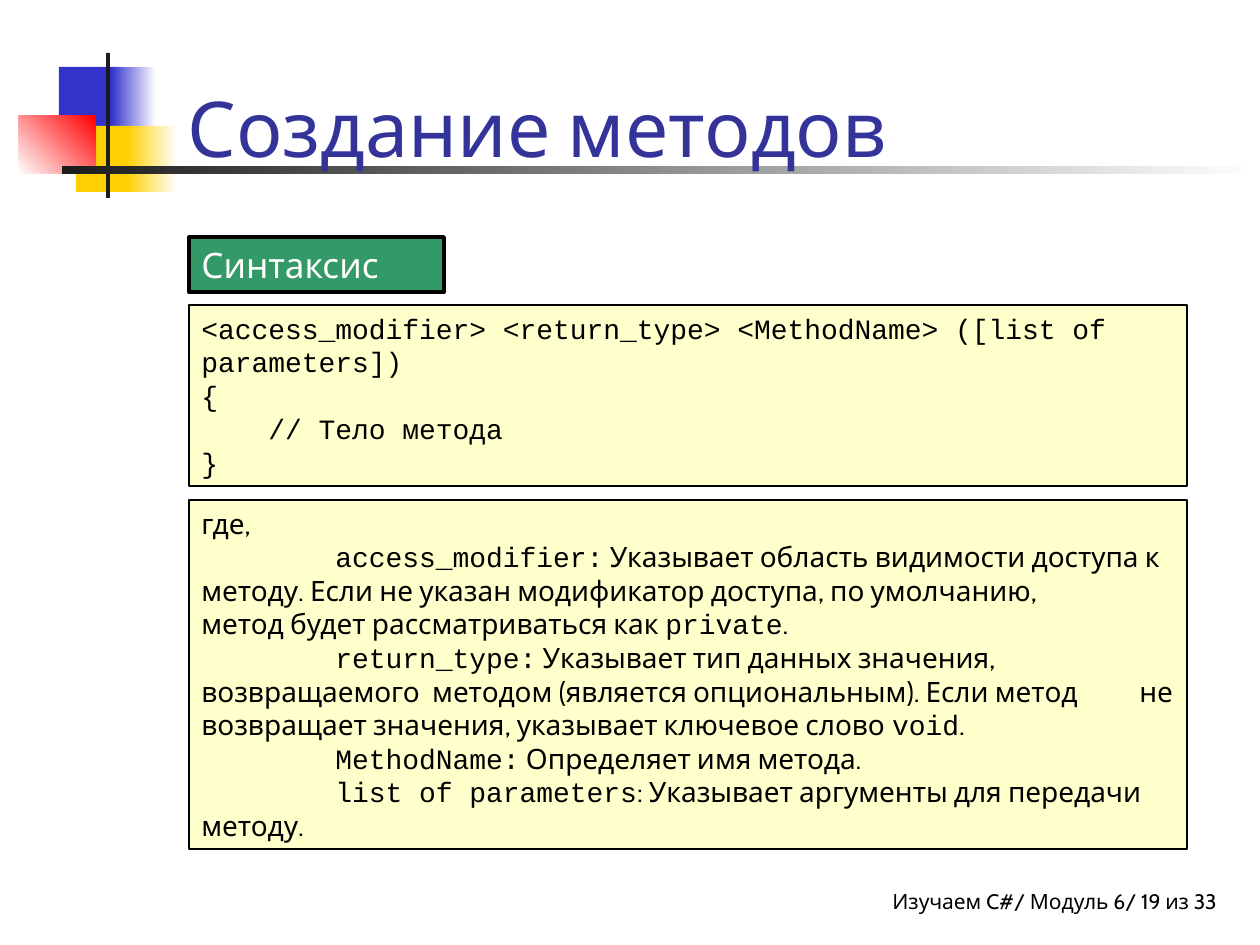
from dataclasses import dataclass

from lxml.etree import SubElement
from pptx import Presentation
from pptx.dml.color import RGBColor
from pptx.enum.shapes import MSO_SHAPE
from pptx.enum.text import MSO_ANCHOR, PP_ALIGN
from pptx.oxml.ns import qn
from pptx.util import Emu, Pt

EMU_PER_PX = 914400 / 126


def px(n):
    return Emu(round(n * EMU_PER_PX))


@dataclass(frozen=True)
class Theme:
    body: str = "Cabin"
    code: str = "Courier New"
    title_size: int = 44
    label_size: int = 20
    text_size: int = 16
    footer_size: int = 12
    title: str = "333399"
    black: str = "000000"
    white: str = "FFFFFF"
    panel: str = "FFFFCC"
    label: str = "339966"
    blue: str = "3333CC"
    yellow: str = "FFCF01"
    red: str = "FF0000"
    dark: str = "1C1C1C"


class SlideBuilder:
    def __init__(self, slide, theme):
        self.s = slide
        self.theme = theme

    def rect(self, box, fill, fade_to=None, angle=0, line=None):
        """Rectangle with a solid fill, or a gradient from fill to fade_to."""
        sp = self.s.shapes.add_shape(MSO_SHAPE.RECTANGLE, *map(px, box))
        sp.shadow.inherit = False
        if fade_to:
            sp.fill.gradient()
            sp.fill.gradient_angle = angle
            for stop, color in zip(sp.fill.gradient_stops, (fill, fade_to)):
                stop.color.rgb = RGBColor.from_string(color)
        else:
            sp.fill.solid()
            sp.fill.fore_color.rgb = RGBColor.from_string(fill)
        if line:
            sp.line.color.rgb = RGBColor.from_string(self.theme.black)
            sp.line.width = Pt(line)
        else:
            sp.line.fill.background()
        return sp

    def add_text(self, tf, paragraphs, size, color, align=PP_ALIGN.LEFT, tab_step=0):
        """Fill a frame with paragraphs, each a list of (text, font) runs."""
        tf.word_wrap = True
        for i, runs in enumerate(paragraphs):
            p = tf.paragraphs[0] if i == 0 else tf.add_paragraph()
            p.alignment = align
            if tab_step:
                tabs = SubElement(p._p.get_or_add_pPr(), qn("a:tabLst"))
                for n in range(8):
                    SubElement(tabs, qn("a:tab"), pos=str(px(n * tab_step)), algn="l")
            for text, font in runs:
                r = p.add_run()
                r.text = text
                r.font.name = font
                r.font.size = Pt(size)
                r.font.color.rgb = RGBColor.from_string(color)

    def title(self, box, text):
        sp = self.s.shapes.title
        sp.left, sp.top, sp.width, sp.height = map(px, box)
        sp.text_frame.vertical_anchor = MSO_ANCHOR.BOTTOM
        self.add_text(sp.text_frame, [[(text, self.theme.body)]],
                      self.theme.title_size, self.theme.title)
        self.s.shapes.element.append(sp.element)  # bring in front of the decoration

    def footer(self, box, text):
        tf = self.s.shapes.add_textbox(*map(px, box)).text_frame
        tf.margin_right = 0
        self.add_text(tf, [[(text, self.theme.body)]], self.theme.footer_size,
                      self.theme.black, PP_ALIGN.RIGHT)

    def label(self, box, text):
        sp = self.rect(box, self.theme.label, line=2.25)
        sp.text_frame.vertical_anchor = MSO_ANCHOR.TOP
        self.add_text(sp.text_frame, [[(text, self.theme.body)]],
                      self.theme.label_size, self.theme.white)

    def panel(self, box, paragraphs):
        sp = self.rect(box, self.theme.panel, line=0.75)
        sp.text_frame.vertical_anchor = MSO_ANCHOR.TOP
        self.add_text(sp.text_frame, paragraphs, self.theme.text_size,
                      self.theme.black, tab_step=134)

    def decoration(self):
        t = self.theme
        self.rect((59, 67, 60, 66), t.blue)
        self.rect((111, 67, 45, 66), t.blue, t.white)
        self.rect((76, 126, 58, 66), t.yellow)
        self.rect((127, 126, 50, 66), t.yellow, t.white)
        self.rect((19, 116, 77, 58), t.white, t.red, angle=45)
        self.rect((106, 53, 4, 145), t.dark)
        self.rect((62, 166, 1198, 8), t.dark, t.white)


def main():
    prs = Presentation()
    prs.slide_width, prs.slide_height = px(1260), px(945)
    theme = Theme()
    body, code = theme.body, theme.code
    slide = SlideBuilder(prs.slides.add_slide(prs.slide_layouts[5]), theme)

    slide.footer((577, 882, 640, 42), "Изучаем C#/ Модуль 6/ 19 из 33")
    slide.decoration()
    slide.title((175, 21, 1074, 158), "Создание методов")

    syntax = [
        "<access_modifier> <return_type> <MethodName> ([list of parameters])",
        "{",
        "    // Тело метода",
        "}",
    ]
    slide.panel((189, 305, 998, 181), [[(text, code)] for text in syntax])
    slide.panel((189, 500, 998, 349), [
        [("где,", body)],
        [("\taccess_modifier:", code),
         (" Указывает область видимости доступа к \tметоду. Если не указан "
          "модификатор доступа, по умолчанию, \tметод будет рассматриваться как ", body),
         ("private", code), (".", body)],
        [("\treturn_type:", code),
         (" Указывает тип данных значения, \tвозвращаемого  методом (является "
          "опциональным). Если метод \tне возвращает значения, указывает "
          "ключевое слово ", body),
         ("void", code), (".", body)],
        [("\tMethodName:", code), (" Определяет имя метода.", body)],
        [("\tlist of parameters", code),
         (": Указывает аргументы для передачи \tметоду.", body)],
    ])
    slide.label((189, 237, 255, 55), "Синтаксис")
    prs.save("out.pptx")


if __name__ == "__main__":
    main()
